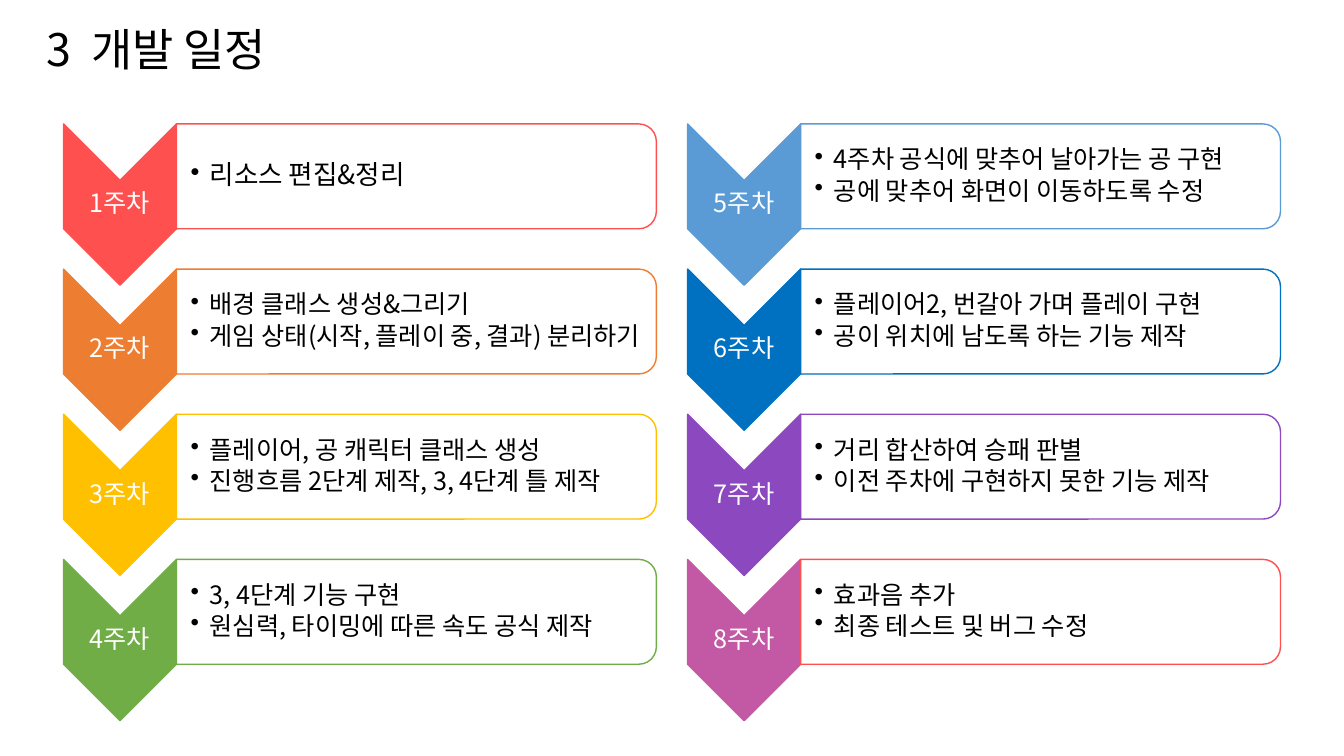
import pptx
import pptx.util
import pptx.dml.color
import pptx.enum.shapes
import pptx.enum.text
import pptx.oxml
import pptx.oxml.ns

# Content: week label, chevron colour, box line colour, text size, tasks
TITLE = "3  개발 일정"
WEEKS = [
    ("1주차", "FF5050", "FF5050", 19, ["리소스 편집&정리"]),
    ("2주차", "ED7D31", "ED7D31", 18,
     ["배경 클래스 생성&그리기", "게임 상태(시작, 플레이 중, 결과) 분리하기"]),
    ("3주차", "FFC000", "FFC000", 18,
     ["플레이어, 공 캐릭터 클래스 생성", "진행흐름 2단계 제작, 3, 4단계 틀 제작"]),
    ("4주차", "70AD47", "70AD47", 18,
     ["3, 4단계 기능 구현", "원심력, 타이밍에 따른 속도 공식 제작"]),
    ("5주차", "5B9BD5", "5B9BD5", 18,
     ["4주차 공식에 맞추어 날아가는 공 구현", "공에 맞추어 화면이 이동하도록 수정"]),
    ("6주차", "0070C0", "0070C0", 18,
     ["플레이어2, 번갈아 가며 플레이 구현", "공이 위치에 남도록 하는 기능 제작"]),
    ("7주차", "8C49BF", "8C49BF", 18,
     ["거리 합산하여 승패 판별", "이전 주차에 구현하지 못한 기능 제작"]),
    ("8주차", "C359A5", "FF5050", 18,
     ["효과음 추가", "최종 테스트 및 버그 수정"]),
]

# Grid, in inches
ROWS = 4
LEFT, TOP = 0.63, 1.23
COL_STEP, ROW_STEP = 6.19, 1.44
CHEVRON_W, CHEVRON_H = 1.12, 1.6
BOX_W, BOX_H = 4.76, 1.04

FONT = "Noto Sans CJK KR"
SHAPES = pptx.enum.shapes.MSO_SHAPE
ALIGN = pptx.enum.text.PP_ALIGN
INSET = pptx.util.Inches(0.01)
FRAME = {
    "word_wrap": True,
    "vertical_anchor": pptx.enum.text.MSO_ANCHOR.MIDDLE,
    "margin_left": INSET, "margin_right": INSET,
    "margin_top": INSET, "margin_bottom": INSET,
}
LABEL = {"alignment": ALIGN.CENTER, "line_spacing": 0.9,
         "space_after": pptx.util.Pt(6)}
TASK = {"alignment": ALIGN.LEFT, "line_spacing": 0.9,
        "space_after": pptx.util.Pt(3), "level": 1}


def color(value):
    return pptx.dml.color.RGBColor.from_string(value)


def assign(target, values):
    for name, value in values.items():
        setattr(target, name, value)


def add_text(slide, box, lines, size, ink, frame, para, bullet=False):
    sp = slide.shapes.add_textbox(*map(pptx.util.Inches, box))
    tf = sp.text_frame
    assign(tf, frame)
    for i, line in enumerate(lines):
        p = tf.paragraphs[0] if i == 0 else tf.add_paragraph()
        assign(p, para)
        r = p.add_run()
        r.text = line
        assign(r.font, {"name": FONT, "size": pptx.util.Pt(size)})
        r.font.color.rgb = color(ink)
        ea = pptx.oxml.parse_xml(
            f'<a:ea {pptx.oxml.ns.nsdecls("a")} typeface="{FONT}"/>')
        r.font._element.find(pptx.oxml.ns.qn("a:latin")).addnext(ea)
        if bullet:
            pPr = p._p.get_or_add_pPr()
            indent = pptx.util.Inches(0.19)
            pPr.set("marL", str(indent))
            pPr.set("indent", str(-indent))
            pPr.append(pptx.oxml.parse_xml(
                f'<a:buChar {pptx.oxml.ns.nsdecls("a")} char="•"/>'))


def add_turned(slide, kind, x, y, w, h, fill, line):
    """Add a shape turned by 90 degrees that covers the area x, y, w, h."""
    box = (x + (w - h) / 2, y + (h - w) / 2, h, w)
    sp = slide.shapes.add_shape(kind, *map(pptx.util.Inches, box))
    sp.rotation = 90
    sp.shadow.inherit = False
    sp.fill.solid()
    sp.fill.fore_color.rgb = color(fill)
    sp.line.color.rgb = color(line)
    sp.line.width = pptx.util.Pt(1)
    return sp


def add_week(slide, x, y, week):
    label, fill, line, size, tasks = week
    # Chevron and its label
    add_turned(slide, SHAPES.CHEVRON, x, y, CHEVRON_W, CHEVRON_H, fill, fill)
    notch = CHEVRON_W / 2
    add_text(slide, (x, y + notch, CHEVRON_W, CHEVRON_H - 2 * notch),
             [label], 18, "FFFFFF", FRAME, LABEL)
    # Box and its tasks
    x += CHEVRON_W
    sp = add_turned(slide, SHAPES.ROUND_2_SAME_RECTANGLE, x, y, BOX_W, BOX_H,
                    "FFFFFF", line)
    clr = sp._element.spPr.find(".//" + pptx.oxml.ns.qn("a:srgbClr"))
    clr.append(pptx.oxml.parse_xml(
        f'<a:alpha {pptx.oxml.ns.nsdecls("a")} val="90000"/>'))
    frame = {**FRAME, "margin_left": pptx.util.Inches(0.14)}
    add_text(slide, (x, y + 0.05, BOX_W - 0.05, BOX_H - 0.1),
             tasks, size, "000000", frame, TASK, bullet=True)


def main():
    prs = pptx.Presentation()
    prs.slide_width = pptx.util.Inches(13.33)
    prs.slide_height = pptx.util.Inches(7.5)
    s = prs.slides.add_slide(prs.slide_layouts[6])

    # Title
    grow = {"word_wrap": True,
            "auto_size": pptx.enum.text.MSO_AUTO_SIZE.SHAPE_TO_FIT_TEXT}
    add_text(s, (0.36, 0.17, 5.45, 0.64), [TITLE], 32, "000000", grow, {})

    # Weeks, down the left column and then the right one
    for i, week in enumerate(WEEKS):
        col, row = divmod(i, ROWS)
        add_week(s, LEFT + col * COL_STEP, TOP + row * ROW_STEP, week)

    prs.save("out.pptx")


if __name__ == "__main__":
    main()
